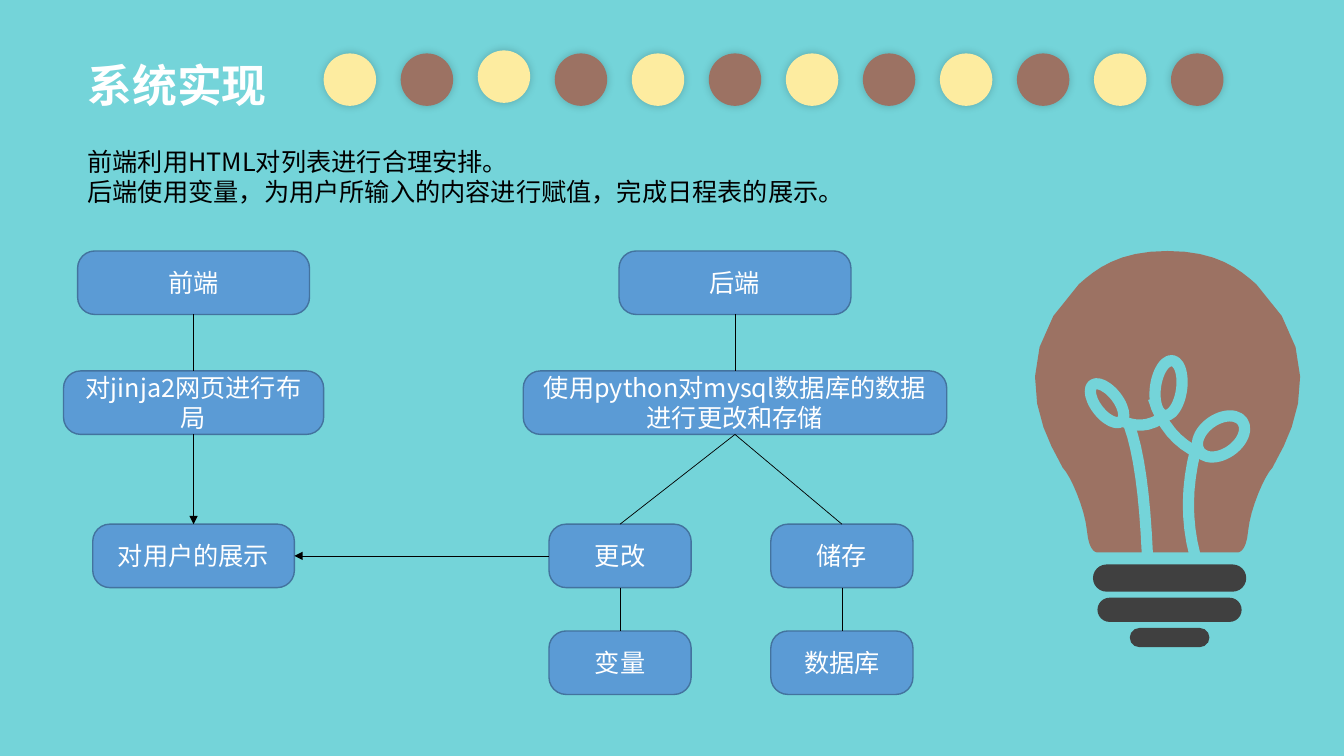
"""Builds the 系统实现 slide: a flowchart of front end and back end beside a light bulb."""
import dataclasses

import lxml.etree
import pptx
import pptx.dml.color
import pptx.enum.shapes
import pptx.enum.text
import pptx.oxml.ns
import pptx.util

Inches = pptx.util.Inches
Pt = pptx.util.Pt
Shape = pptx.enum.shapes.MSO_SHAPE
Align = pptx.enum.text.PP_ALIGN
Anchor = pptx.enum.text.MSO_ANCHOR
qn = pptx.oxml.ns.qn


@dataclasses.dataclass(frozen=True)
class Theme:
    font: str = "Noto Sans CJK SC"
    sea: str = "74D4D9"
    cream: str = "FDECA0"
    brown: str = "9C7263"
    dark: str = "404040"
    blue: str = "5B9BD5"
    edge: str = "43739E"
    black: str = "000000"
    white: str = "FFFFFF"
    title_size: int = 32
    body_size: int = 18
    hairline: float = 0.5
    border: int = 1
    filament: int = 8


THEME = Theme()

TITLE = ["系统实现"]
SUMMARY = [
    "前端利用HTML对列表进行合理安排。",
    "后端使用变量，为用户所输入的内容进行赋值，完成日程表的展示。",
]

COLUMNS = {"front": 1.92, "change": 6.15, "back": 7.29, "store": 8.35}
ROWS = (2.49, 3.68, 5.2, 6.26)
STEP_HEIGHT, LEAF_WIDTH = 0.63, 1.41
LAYOUT, DATABASE = "对jinja2网页进行布局", "使用python对mysql数据库的数据进行更改和存储"
STEPS = {
    "前端": ("front", 0, 2.3),
    "后端": ("back", 0, 2.3),
    LAYOUT: ("front", 1, 2.58),
    DATABASE: ("back", 1, 4.2),
    "储存": ("store", 2, LEAF_WIDTH),
    "更改": ("change", 2, LEAF_WIDTH),
    "数据库": ("store", 3, LEAF_WIDTH),
    "变量": ("change", 3, LEAF_WIDTH),
    "对用户的展示": ("front", 2, 2),
}
TOP, LEFT, BOTTOM, RIGHT = range(4)
DOWN, ACROSS = (BOTTOM, TOP), (LEFT, RIGHT)
LINKS = [
    ("前端", LAYOUT, DOWN, False),
    ("后端", DATABASE, DOWN, False),
    (DATABASE, "更改", DOWN, False),
    (DATABASE, "储存", DOWN, False),
    ("更改", "变量", DOWN, False),
    ("储存", "数据库", DOWN, False),
    (LAYOUT, "对用户的展示", DOWN, True),
    ("更改", "对用户的展示", ACROSS, True),
]

DOT_COUNT, DOT_SIZE, DOT_LEFT, DOT_TOP, DOT_PITCH = 12, 0.52, 3.21, 0.53, 0.764
RAISED_DOT, RAISED_TOP = 2, 0.5

BULB_AXIS = 11.58
GLASS_HALF = [
    [(0, 2.49), (0.49, 2.49), (0.71, 2.67), (0.88, 2.82)],
    [(0.88, 2.82), (1.73, 3.66), (1.08, 4.53), (1.04, 4.64)],
    [(1.04, 4.64), (0.96, 4.72), (0.82, 5.05), (0.8, 5.26)],
    [(0.8, 5.26), (0.78, 5.5), (0.69, 5.48), (0.69, 5.48)],
]
STEMS = [
    [(-0.38, 4.22), (-0.24, 4.6), (-0.2, 5.5)],
    [(0.28, 4.46), (0.14, 5), (0.27, 5.5)],
    [(-0.5, 4.15), (-0.25, 4.3), (-0.02, 4.12)],
    [(-0.14, 3.95), (-0.02, 4.35), (0.32, 4.5)],
]
LOOPS = [(-0.6, 4, 0.22, 0.46, -38), (0.01, 3.85, 0.26, 0.55, 8), (0.53, 4.33, 0.52, 0.34, -35)]
RINGS = [(5.6, 1.52, 0.27), (5.93, 1.43, 0.24), (6.23, 0.79, 0.19)]
CURVE_PARTS = 8


def rgb(colour):
    return pptx.dml.color.RGBColor.from_string(colour)


def write(frame, lines, size=THEME.body_size, colour=THEME.black, bold=False,
          align=Align.LEFT, anchor=Anchor.TOP, spacing=None):
    frame.word_wrap = True
    frame.vertical_anchor = anchor
    for number, line in enumerate(lines):
        paragraph = frame.add_paragraph() if number else frame.paragraphs[0]
        paragraph.alignment = align
        paragraph.line_spacing = spacing
        run = paragraph.add_run()
        run.text = line
        run.font.size, run.font.bold, run.font.name = Pt(size), bold, THEME.font
        run.font.color.rgb = rgb(colour)
        lxml.etree.SubElement(run.font._element, qn("a:ea"), typeface=THEME.font)


def paint(shape, fill=None, line=None, width=THEME.border):
    shape.shadow.inherit = False
    if fill:
        shape.fill.solid()
        shape.fill.fore_color.rgb = rgb(fill)
    else:
        shape.fill.background()
    if line:
        shape.line.color.rgb = rgb(line)
        shape.line.width = Pt(width)
    else:
        shape.line.fill.background()


def place(shapes, kind, *box):
    return shapes.add_shape(kind, *map(Inches, box))


def text_box(slide, lines, *box, **text_format):
    frame = slide.shapes.add_textbox(*map(Inches, box)).text_frame
    write(frame, lines, **text_format)
    frame.auto_size = pptx.enum.text.MSO_AUTO_SIZE.SHAPE_TO_FIT_TEXT


def bend(controls):
    curve = []
    for part in range(CURVE_PARTS + 1):
        share, points = part / CURVE_PARTS, controls
        while len(points) > 1:
            points = [tuple(a + (b - a) * share for a, b in zip(start, end))
                      for start, end in zip(points, points[1:])]
        curve.append(points[0])
    return curve


def trace(shapes, points, close):
    start, *rest = [(Inches(BULB_AXIS + x), Inches(y)) for x, y in points]
    builder = shapes.build_freeform(*start, scale=1.0)
    builder.add_line_segments(rest, close=close)
    return builder.convert_to_shape()


def draw_bulb(slide):
    bulb = slide.shapes.add_group_shape().shapes
    half = [point for controls in GLASS_HALF for point in bend(controls)]
    mirrored = [(-x, y) for x, y in reversed(half)]
    paint(trace(bulb, half + mirrored, True), THEME.brown)
    for controls in STEMS:
        paint(trace(bulb, bend(controls), False), line=THEME.sea, width=THEME.filament)
    for x, y, width, height, turn in LOOPS:
        loop = place(bulb, Shape.OVAL, BULB_AXIS + x - width / 2, y - height / 2, width, height)
        loop.rotation = turn
        paint(loop, line=THEME.sea, width=THEME.filament)
    for top, width, height in RINGS:
        ring = place(bulb, Shape.ROUNDED_RECTANGLE, BULB_AXIS + 0.02 - width / 2, top, width, height)
        ring.adjustments[0] = 0.5
        paint(ring, THEME.dark)


def draw_dots(slide):
    for number in range(DOT_COUNT):
        top = RAISED_TOP if number == RAISED_DOT else DOT_TOP
        dot = place(slide.shapes, Shape.OVAL, DOT_LEFT + number * DOT_PITCH, top, DOT_SIZE, DOT_SIZE)
        paint(dot, THEME.brown if number % 2 else THEME.cream)
        effects = dot._element.spPr.find(qn("a:effectLst"))
        glow = lxml.etree.SubElement(effects, qn("a:outerShdw"), blurRad=str(Pt(6)), dist="0",
                                     dir="18900000", algn="ctr", rotWithShape="0")
        tint = lxml.etree.SubElement(glow, qn("a:srgbClr"), val=THEME.black)
        lxml.etree.SubElement(tint, qn("a:alpha"), val="20000")


def draw_flow(slide):
    steps = {}
    for label, (column, row, width) in STEPS.items():
        step = place(slide.shapes, Shape.ROUNDED_RECTANGLE,
                     COLUMNS[column] - width / 2, ROWS[row], width, STEP_HEIGHT)
        step.adjustments[0] = 0.27
        paint(step, THEME.blue, THEME.edge)
        write(step.text_frame, [label], colour=THEME.white, align=Align.CENTER, anchor=Anchor.MIDDLE)
        steps[label] = step
    for source, target, (exit_side, entry_side), arrow in LINKS:
        link = slide.shapes.add_connector(pptx.enum.shapes.MSO_CONNECTOR.STRAIGHT, 0, 0, 0, 0)
        link.begin_connect(steps[source], exit_side)
        link.end_connect(steps[target], entry_side)
        link.line.color.rgb = rgb(THEME.black)
        link.line.width = Pt(THEME.hairline)
        if arrow:
            lxml.etree.SubElement(link.line._get_or_add_ln(), qn("a:tailEnd"), type="triangle")
        lxml.etree.SubElement(link._element.spPr, qn("a:effectLst"))


def main():
    deck = pptx.Presentation()
    deck.slide_width, deck.slide_height = Inches(13.33), Inches(7.5)
    slide = deck.slides.add_slide(deck.slide_layouts[6])
    slide.background.fill.solid()
    slide.background.fill.fore_color.rgb = rgb(THEME.sea)
    draw_bulb(slide)
    draw_dots(slide)
    text_box(slide, TITLE, 0.77, 0.49, 2.2, 0.65, size=THEME.title_size, colour=THEME.white,
             bold=True, anchor=Anchor.MIDDLE, spacing=1.1)
    text_box(slide, SUMMARY, 0.77, 1.4, 8.09, 0.71)
    draw_flow(slide)
    deck.save("out.pptx")


if __name__ == "__main__":
    main()
